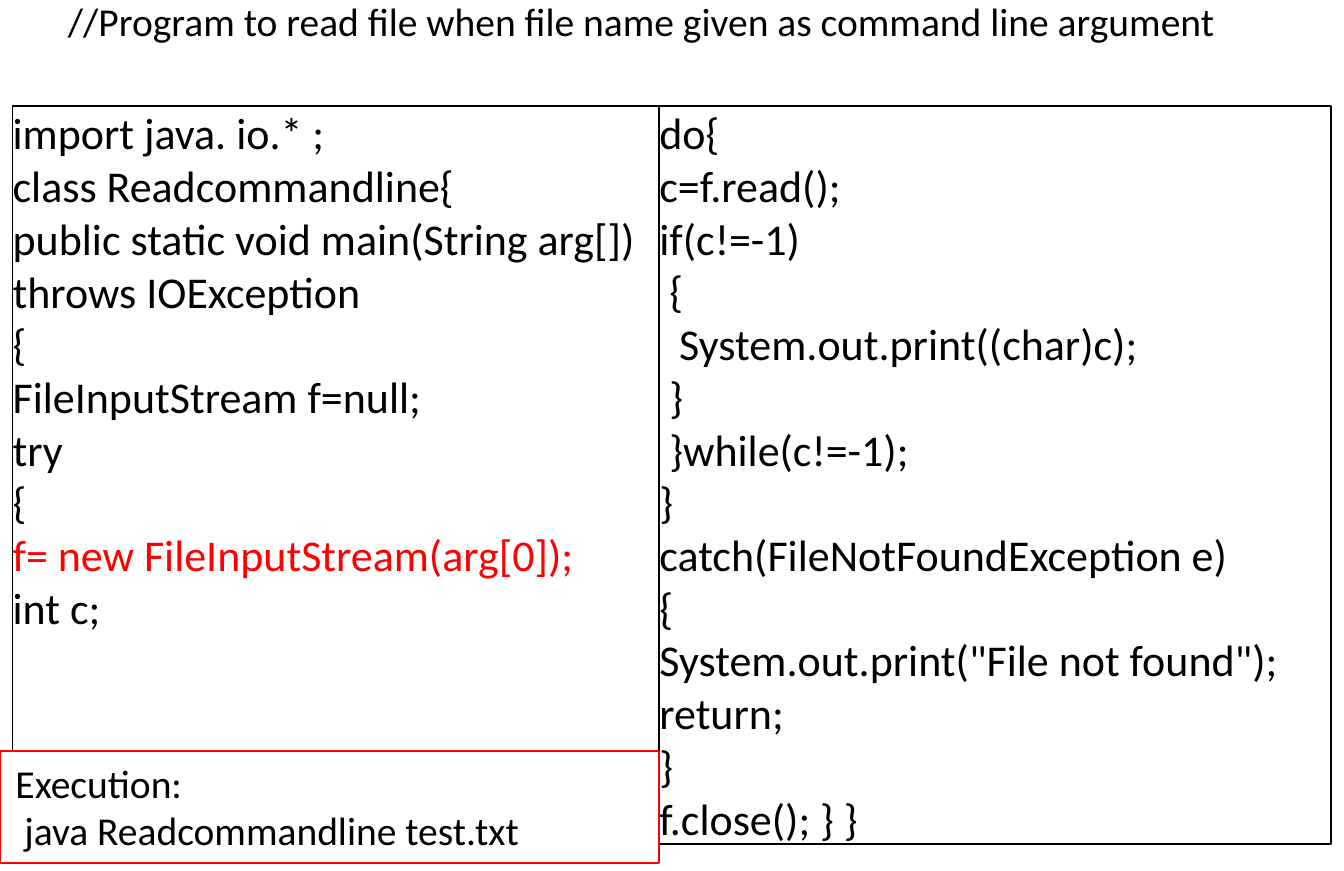
from pptx import Presentation
from pptx.dml.color import RGBColor
from pptx.enum.shapes import MSO_SHAPE
from pptx.enum.text import MSO_ANCHOR, MSO_AUTO_SIZE, PP_ALIGN
from pptx.util import Inches, Pt

BLACK = RGBColor(0, 0, 0)
RED = RGBColor(255, 0, 0)

READ_LINE = "f= new FileInputStream(arg[0]);"
SETUP_CODE = [
    "import java. io.* ;",
    "class Readcommandline{",
    "public static void main(String arg[]) throws IOException",
    "{",
    "FileInputStream f=null;",
    "try",
    "{",
    READ_LINE,
    "int c;",
]
LOOP_CODE = [
    "do{",
    "c=f.read();",
    "if(c!=-1)",
    " {",
    "  System.out.print((char)c);",
    " }",
    " }while(c!=-1);",
    "}",
    "catch(FileNotFoundException e)",
    "{",
    'System.out.print("File not found");',
    "return;",
    "}",
    "f.close(); } }",
]
EXECUTION = ["Execution:", " java Readcommandline test.txt"]


def write_lines(tf, lines, size=20, align=PP_ALIGN.LEFT, spacing=None, highlight=None):
    """Write one paragraph per line, with the highlighted line in red."""
    tf.word_wrap = True
    tf.auto_size = MSO_AUTO_SIZE.NONE
    tf.vertical_anchor = MSO_ANCHOR.TOP
    for i, line in enumerate(lines):
        p = tf.add_paragraph() if i else tf.paragraphs[0]
        p.alignment = align
        p.line_spacing = spacing
        r = p.add_run()
        r.text = line
        r.font.name = "Calibri"
        r.font.size = Pt(size)
        r.font.color.rgb = RED if line == highlight else BLACK


def add_title(slide, left, top, width, height, text):
    sp = slide.shapes.title
    sp.left, sp.top = Inches(left), Inches(top)
    sp.width, sp.height = Inches(width), Inches(height)
    write_lines(sp.text_frame, [text], size=18, align=PP_ALIGN.JUSTIFY)


def add_box(slide, left, top, width, height, lines, outline=BLACK, inset=None, **text_format):
    sp = slide.shapes.add_shape(
        MSO_SHAPE.RECTANGLE, Inches(left), Inches(top), Inches(width), Inches(height))
    sp.shadow.inherit = False
    sp.fill.background()
    sp.line.color.rgb = outline
    sp.line.width = Pt(0.75)
    tf = sp.text_frame
    if inset is not None:
        tf.margin_left = tf.margin_right = tf.margin_top = tf.margin_bottom = Inches(inset)
    write_lines(tf, lines, **text_format)


def build_program_slide(prs):
    slide = prs.slides.add_slide(prs.slide_layouts.get_by_name("Title Only"))
    add_title(slide, 0.33, -0.07, 8.17, 0.71,
              "//Program to read file when file name given as command line argument")

    # Program code in two columns
    split, top = 4.17, 0.67
    add_box(slide, 0.08, top, split - 0.08, 4.08, SETUP_CODE,
            inset=0, spacing=Pt(24), highlight=READ_LINE)
    add_box(slide, split, top, 4.25, 4.67, LOOP_CODE, inset=0, spacing=Pt(24))

    # Command that runs the program
    add_box(slide, 0, 4.75, split, 0.71, EXECUTION, outline=RED, size=18)


def main():
    prs = Presentation()
    prs.slide_width, prs.slide_height = Inches(8.5), Inches(5.51)
    build_program_slide(prs)
    prs.save("out.pptx")


if __name__ == "__main__":
    main()
